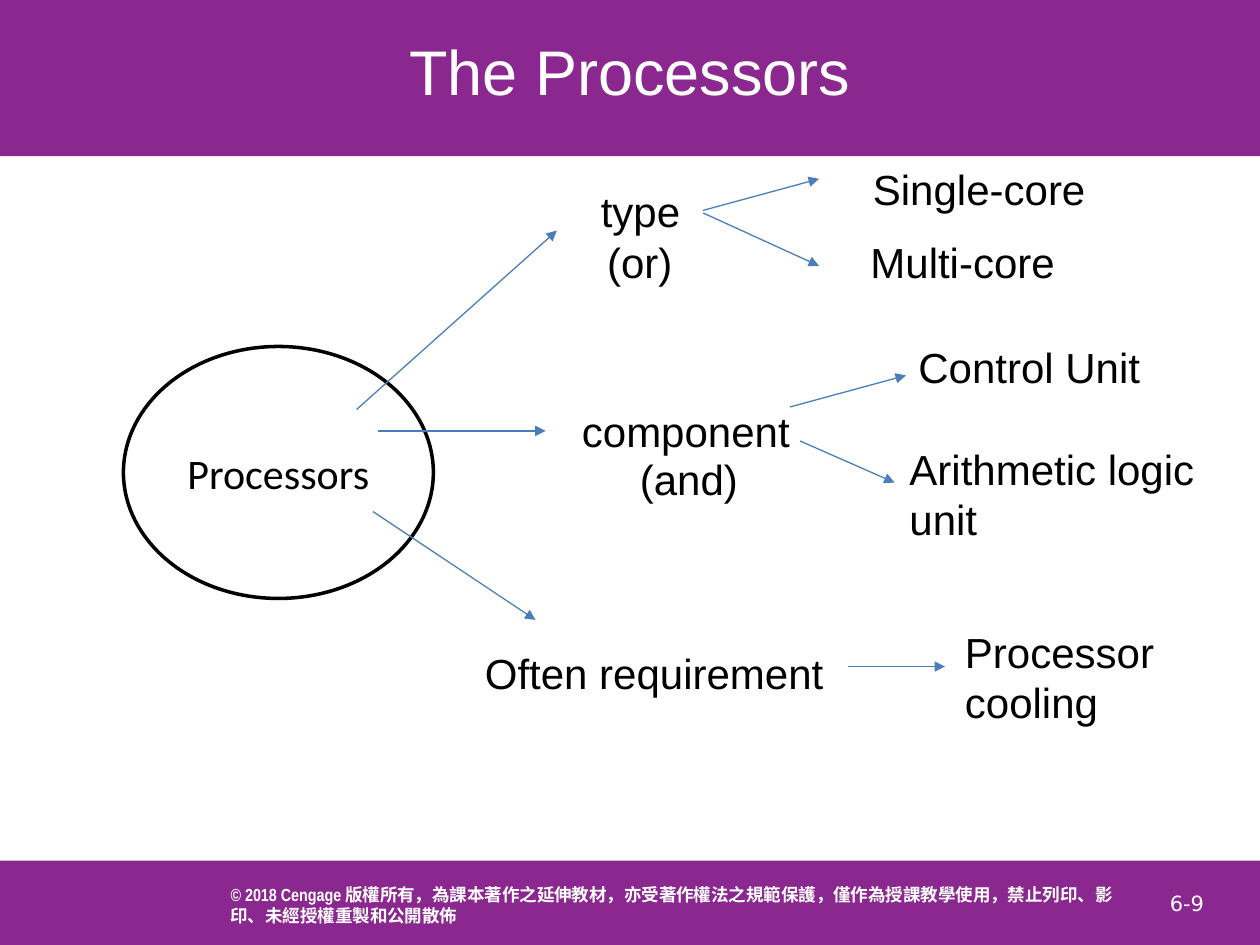
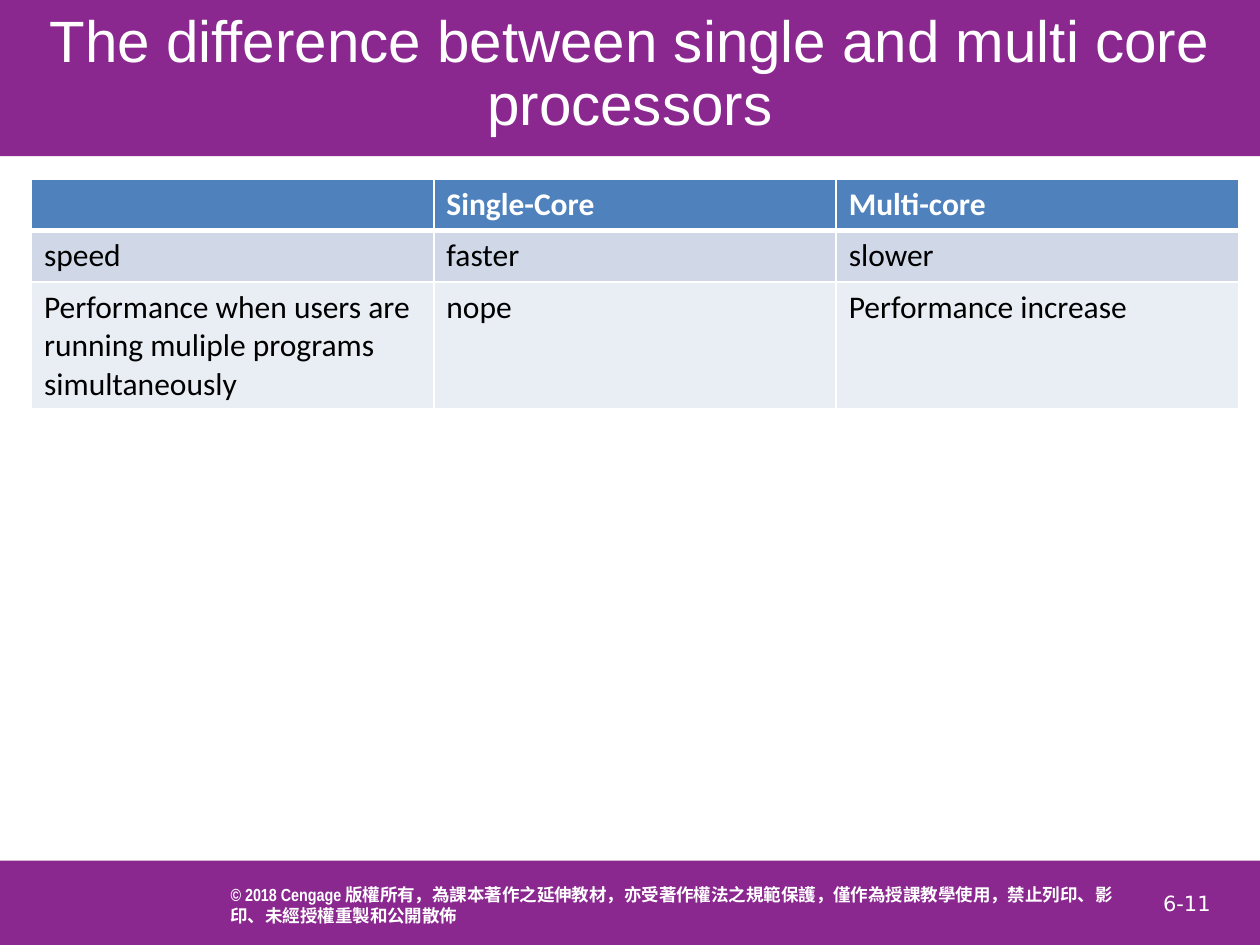
from pptx import Presentation
from pptx.util import Inches, Pt
from pptx.dml.color import RGBColor
from pptx.enum.shapes import MSO_SHAPE as Shape, MSO_CONNECTOR as Link
from pptx.enum.text import PP_ALIGN as Align, MSO_ANCHOR as Anchor
from pptx.oxml.ns import qn
from lxml.etree import SubElement, Element

PURPLE = RGBColor(0x8A, 0x28, 0x8F)
WHITE = RGBColor(255, 255, 255)
BLACK = RGBColor(0, 0, 0)
ARROW = RGBColor(0x4A, 0x7E, 0xBB)
HEAD = RGBColor(0x4F, 0x81, 0xBD)
BANDS = [RGBColor(0xD0, 0xD8, 0xE8), RGBColor(0xE9, 0xED, 0xF4)]

OWNER = "© 2018 Cengage "
RIGHTS = ("版權所有，為課本著作之延伸教材，亦受著作權法之規範保護，"
          "僅作為授課教學使用，禁止列印、影印、未經授權重製和公開散佈")

# Text, left, top, width, height
LABELS = [
    ("type", 4.67, 1.42, 1.33, 0.5),
    ("(or)", 4.72, 1.83, 0.8, 0.5),
    ("Single-core", 6.83, 1.25, 2.5, 0.5),
    ("Multi-core", 6.81, 1.83, 2.5, 0.5),
    ("component", 4.52, 3.17, 1.9, 0.5),
    ("(and)", 4.98, 3.55, 1.05, 0.5),
    ("Control Unit", 7.19, 2.66, 2.05, 0.5),
    ("Arithmetic logic unit", 7.12, 3.47, 2.6, 0.91),
    ("Often requirement", 3.75, 5.09, 2.98, 0.5),
    ("Processor cooling", 7.56, 4.92, 1.95, 0.91),
]

# Start x, start y, end x, end y
ARROWS = [
    (2.83, 3.25, 4.42, 1.83),
    (3, 3.42, 4.33, 3.42),
    (2.96, 4.06, 4.25, 4.92),
    (5.58, 1.67, 6.5, 1.42),
    (5.58, 1.69, 6.5, 2.11),
    (6.27, 3.23, 7.19, 2.98),
    (6.35, 3.5, 7.1, 3.83),
    (6.73, 5.29, 7.5, 5.29),
]

ROWS = [
    ("", "Single-Core", "Multi-core"),
    ("speed", "faster", "slower"),
    ("Performance when users are running muliple programs simultaneously",
     "nope", "Performance increase"),
]


def style(run, size, face, color, bold=False):
    font = run.font
    font.size, font.name, font.bold = Pt(size), face, bold
    font.color.rgb = color


def add_box(slide, kind, x, y, w, h, fill, line=None):
    box = slide.shapes.add_shape(kind, *map(Inches, (x, y, w, h)))
    box.shadow.inherit = False
    box.fill.solid()
    box.fill.fore_color.rgb = fill
    if line is None:
        box.line.fill.background()
    else:
        box.line.color.rgb = line
        box.line.width = Pt(2)
    return box


def write(box, text, size, face, color, align=Align.LEFT, anchor=Anchor.MIDDLE):
    frame = box.text_frame
    frame.word_wrap = True
    frame.vertical_anchor = anchor
    frame.text = text
    para = frame.paragraphs[0]
    para.alignment = align
    style(para.runs[0], size, face, color)
    return para


def add_label(slide, text, x, y, w, h):
    box = slide.shapes.add_textbox(*map(Inches, (x, y, w, h)))
    write(box, text, 24, "Arial", BLACK, anchor=Anchor.TOP)


def add_arrow(slide, *ends):
    arrow = slide.shapes.add_connector(Link.STRAIGHT, *map(Inches, ends))
    arrow.line.color.rgb = ARROW
    arrow.line.width = Pt(0.75)
    SubElement(arrow.line._get_or_add_ln(), qn("a:tailEnd"), type="triangle")
    SubElement(arrow._element.spPr, qn("a:effectLst"))


def add_page(deck, title, size, number):
    slide = deck.slides.add_slide(deck.slide_layouts[6])
    # Bands
    add_box(slide, Shape.RECTANGLE, 0, 0, 10, 1.24, PURPLE)
    add_box(slide, Shape.RECTANGLE, -0.01, 6.83, 10.02, 0.69, PURPLE)
    # Footer
    note = add_box(slide, Shape.RECTANGLE, 1.83, 6.89, 7.05, 0.58, PURPLE)
    frame = note.text_frame
    frame.margin_left = frame.margin_right = 0
    frame.margin_top = frame.margin_bottom = 0
    para = write(note, OWNER, 10, "Arial Narrow", WHITE)
    para.runs[0].font.bold = True
    run = para.add_run()
    run.text = RIGHTS
    style(run, 10, "Calibri", WHITE, True)
    page = slide.shapes.add_textbox(*map(Inches, (8.92, 6.92, 1, 0.5)))
    write(page, number, 12, "DejaVu Sans", WHITE, Align.CENTER)
    # Title
    head = add_box(slide, Shape.RECTANGLE, 0.05, 0.03, 9.9, 1.14, PURPLE)
    para = write(head, title, size, "Arial", WHITE, Align.CENTER)
    para.line_spacing = 0.9
    return slide


def set_edge(cell, side, width, place):
    edge = Element(qn(f"a:ln{side}"), w=str(Pt(width)))
    fill = SubElement(edge, qn("a:solidFill"))
    SubElement(fill, qn("a:srgbClr"), val=str(WHITE))
    cell._tc.get_or_add_tcPr().insert(place, edge)


def add_grid(slide, rows, x, y, w, high):
    count = len(rows[0])
    grid = slide.shapes.add_table(len(rows), count, Inches(x), Inches(y),
                                  Inches(w), Inches(high * len(rows))).table
    for r, row in enumerate(rows):
        for c, text in enumerate(row):
            cell = grid.cell(r, c)
            cell.fill.solid()
            cell.fill.fore_color.rgb = BANDS[(r - 1) % 2] if r else HEAD
            # Thick rule below the header row
            thick = {"T": r == 1, "B": r == 0}
            for place, side in enumerate("LRTB"):
                set_edge(cell, side, 3 if thick.get(side) else 0.96, place)
            if text:
                cell.text_frame.text = text
                run = cell.text_frame.paragraphs[0].runs[0]
                style(run, 18, "Calibri", BLACK if r else WHITE, r == 0)


def main():
    deck = Presentation()
    deck.slide_width, deck.slide_height = Inches(10), Inches(7.5)

    # Processor map
    slide = add_page(deck, "The Processors", 36, "6-9")
    hub = add_box(slide, Shape.OVAL, 0.98, 2.75, 2.46, 2, WHITE, BLACK)
    write(hub, "Processors", 24, "Calibri", BLACK, Align.CENTER)
    for label in LABELS:
        add_label(slide, *label)
    for ends in ARROWS:
        add_arrow(slide, *ends)

    # Core comparison
    slide = add_page(
        deck, "The difference between single and multi core processors",
        33.3, "6-11")
    add_grid(slide, ROWS, 0.25, 1.42, 9.58, 0.41)

    deck.save("out.pptx")


if __name__ == "__main__":
    main()
